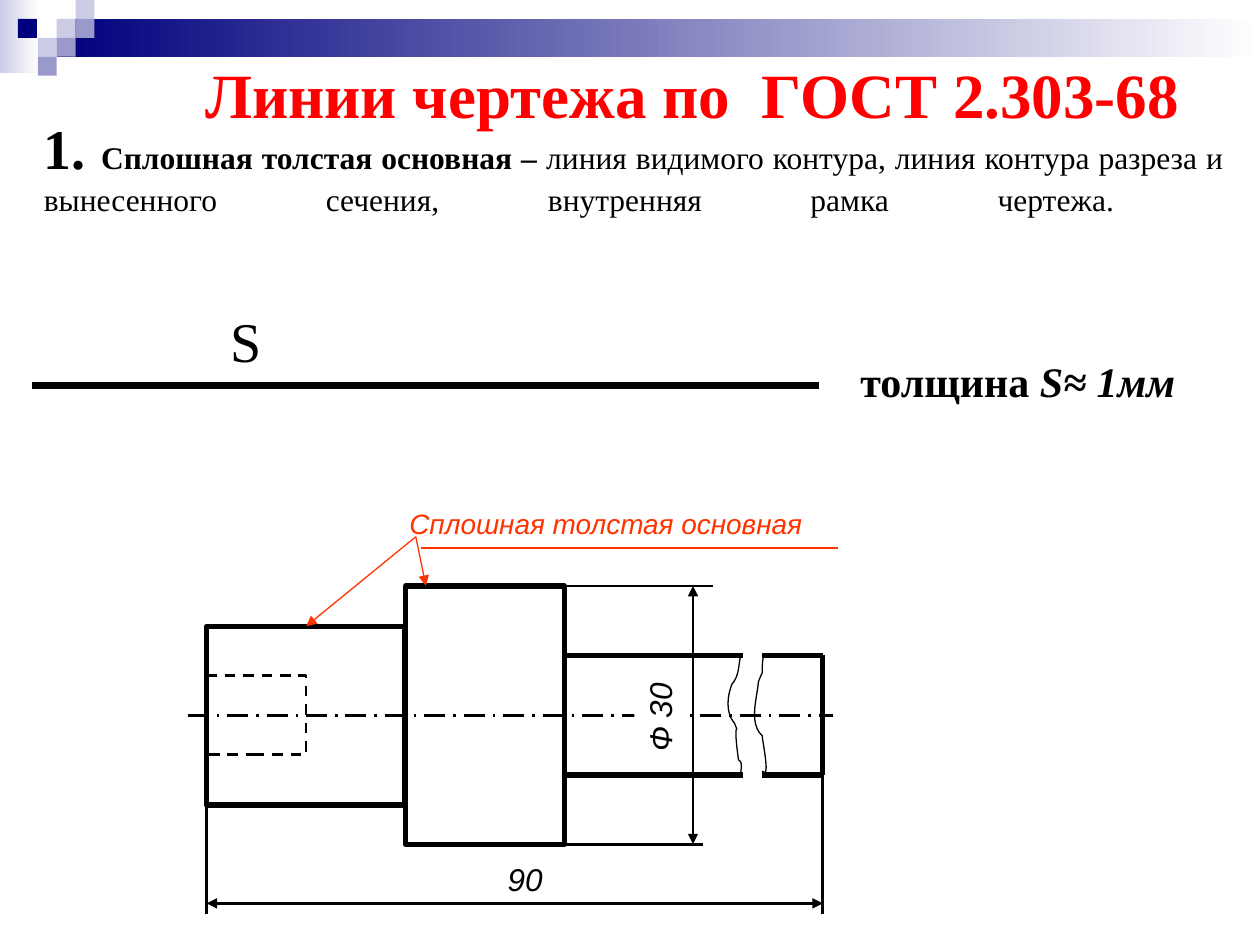
from pptx import Presentation
from pptx.dml.color import RGBColor as Rgb
from pptx.enum.dml import MSO_LINE as Dash
from pptx.enum.shapes import MSO_CONNECTOR as Conn, MSO_SHAPE as Kind
from pptx.enum.text import PP_ALIGN as Align
from pptx.oxml.ns import qn
from pptx.util import Inches, Pt
from lxml.etree import SubElement as Sub

HUES = {"ink": "000000", "paper": "FFFFFF", "title": "FF0000", "note": "FF3300",
        "navy": "00007D", "pale": "CCCCE6", "mid": "9999CC"}
SERIF, SANS = "Times New Roman", "Arial"


def hue(name):
    return Rgb.from_string(HUES[name])


class Sheet:
    """Draws styled elements on the current slide."""

    def __init__(self, deck):
        self.slide = deck.slides.add_slide(deck.slide_layouts[6])
        self.shapes = self.slide.shapes

    def pen(self, line, width, color="ink", dash=None):
        line.color.rgb = hue(color)
        line.width = Pt(width)
        if dash:
            line.dash_style = dash

    def block(self, x, y, w, h, fill=None, fade=None, pen=None, dash=None):
        box = self.shapes.add_shape(Kind.RECTANGLE, *map(Inches, (x, y, w, h)))
        box.shadow.inherit = False
        if fade:
            box.fill.gradient()
            box.fill.gradient_angle = 0
            for stop, name in zip(box.fill.gradient_stops, fade):
                stop.color.rgb = hue(name)
        elif fill:
            box.fill.solid()
            box.fill.fore_color.rgb = hue(fill)
        else:
            box.fill.background()
        if pen:
            self.pen(box.line, pen, dash=dash)
        else:
            box.line.fill.background()
        return box

    def line(self, x1, y1, x2, y2, width, color="ink", dash=None, ends=()):
        bar = self.shapes.add_connector(Conn.STRAIGHT, *map(Inches, (x1, y1, x2, y2)))
        self.pen(bar.line, width, color, dash)
        props = bar._element.spPr
        for end in ends:
            Sub(props.find(qn("a:ln")), qn("a:" + end), type="triangle")
        Sub(props, qn("a:effectLst"))

    def curve(self, start, arcs, steps=12):
        dots, last = [], start
        for arc in arcs:
            knots = (last, *arc)
            for step in range(1, steps + 1):
                t = step / steps
                parts = ((1 - t) ** 3, 3 * t * (1 - t) ** 2, 3 * t * t * (1 - t), t ** 3)
                dots.append(tuple(Inches(sum(p * k[i] for p, k in zip(parts, knots)))
                                  for i in (0, 1)))
            last = arc[-1]
        form = self.shapes.build_freeform(*map(Inches, start))
        form.add_line_segments(dots, close=False)
        wave = form.convert_to_shape()
        wave.shadow.inherit = False
        wave.fill.background()
        self.pen(wave.line, 0.75)

    def words(self, frame, runs, font, color="ink", align=Align.LEFT, wrap=True):
        frame.word_wrap = wrap
        para = frame.paragraphs[0]
        para.alignment = align
        for text, size, bold, slant in runs:
            run = para.add_run()
            run.text = text
            face = run.font
            face.name, face.size = font, Pt(size)
            face.bold, face.italic = bold, slant
            face.color.rgb = hue(color)
        return para

    def text(self, x, y, w, h, runs, font, **style):
        box = self.shapes.add_textbox(*map(Inches, (x, y, w, h)))
        return self.words(box.text_frame, runs, font, **style)


def header(sheet):
    sheet.block(0, 0, 0.31, 0.58, fade=("pale", "paper"))
    sheet.block(0.45, 0.15, 9.55, 0.3, fade=("navy", "paper"))
    tiles = ((3, 1, "pale"), (4, 0, "pale"), (4, 1, "mid"), (2, 2, "pale"),
             (0.95, 1, "navy"), (3, 2, "mid"), (2, 3, "mid"))
    for col, row, fill in tiles:
        sheet.block(col * 0.15, row * 0.15, 0.15, 0.15, fill)


def rule(sheet):
    sheet.text(1.53, 0.39, 8.07, 0.7, [("Линии чертежа по  ГОСТ 2.303-68", 36, True, False)],
               SERIF, color="title", wrap=False)
    para = sheet.text(0.25, 0.85, 9.56, 1.84, [
        ("1. ", 32, True, False),
        ("Сплошная толстая основная – ", 18, True, False),
        ("линия видимого контура, линия контура разреза и вынесенного сечения, "
         "внутренняя рамка чертежа. ", 18, False, False)], SERIF, align=Align.JUSTIFY)
    para.add_line_break()
    sheet.text(6.73, 2.77, 2.71, 0.5, [("толщина ", 24, True, False),
                                       ("S≈ 1мм", 24, True, True)], SERIF, wrap=False)
    sheet.line(0.25, 3.06, 6.5, 3.06, 4.5)
    sheet.text(1.74, 2.38, 0.19, 0.64, [("S", 32, False, False)], SERIF, align=Align.CENTER)


def shaft(sheet):
    left, step, right = 1.64, 4.48, 6.53
    top, base = 4.65, 6.7
    high, low = 5.2, 6.15
    both = ("headEnd", "tailEnd")
    sheet.block(left, 4.97, 1.57, 1.42, pen=3)
    sheet.block(3.22, top, 1.26, 2.05, pen=3)
    sheet.block(left, 5.36, 0.79, 0.63, pen=1.5, dash=Dash.DASH)
    sheet.line(1.49, 5.68, 6.61, 5.68, 1.5, dash=Dash.LONG_DASH_DOT)
    sheet.line(5.5, top, 5.5, base, 1, ends=both)
    sheet.line(step, top, 5.66, top, 1.5)
    sheet.line(step, base, 5.58, base, 1.5)
    sheet.line(left, 6.38, left, 7.25, 1.5)
    sheet.line(3.34, 4.35, 6.65, 4.35, 0.75, "note")
    sheet.text(3.15, 3.97, 3.38, 0.37, [("Сплошная толстая основная", 16, False, True)],
               SANS, color="note")
    for x, y in ((2.43, 4.97), (3.38, top)):
        sheet.line(3.3, 4.26, x, y, 0.75, "note", ends=("tailEnd",))
    for y in (high, low):
        sheet.line(step, y, 5.9, y, 3)
        sheet.line(6.05, y, right, y, 3)
    sheet.line(right, high, right, low, 3)
    sheet.curve((5.88, 5.2), [
        ((5.86, 5.28), (5.87, 5.36), (5.81, 5.43)),
        ((5.77, 5.53), (5.76, 5.66), (5.83, 5.74)),
        ((5.88, 5.87), (5.81, 5.65), (5.86, 6.02)),
        ((5.86, 6.04), (5.88, 6.04), (5.88, 6.05)),
        ((5.89, 6.08), (5.88, 6.11), (5.88, 6.14))])
    sheet.curve((6.06, 5.21), [
        ((6.05, 5.25), (6.05, 5.3), (6.05, 5.34)),
        ((6.04, 5.36), (6.02, 5.41), (6.02, 5.41)),
        ((6.01, 5.54), (5.94, 5.74), (6.05, 5.84)),
        ((6.05, 5.88), (6.12, 6.2), (6.05, 6.12))])
    sheet.text(3.93, 6.78, 0.63, 0.4, [("90", 18, False, True)], SANS)
    sheet.line(left, 7.17, right, 7.17, 1.5, ends=both)
    sheet.line(right, low, right, 7.25, 1.5)
    label = sheet.block(4.84, 5.47, 0.79, 0.4, "paper")
    label.rotation = 270
    sheet.words(label.text_frame, [("Ф 30", 18, False, True)], SANS)


def main():
    deck = Presentation()
    deck.slide_width, deck.slide_height = Inches(10), Inches(7.5)
    sheet = Sheet(deck)
    header(sheet)
    rule(sheet)
    shaft(sheet)
    deck.save("out.pptx")


if __name__ == "__main__":
    main()
